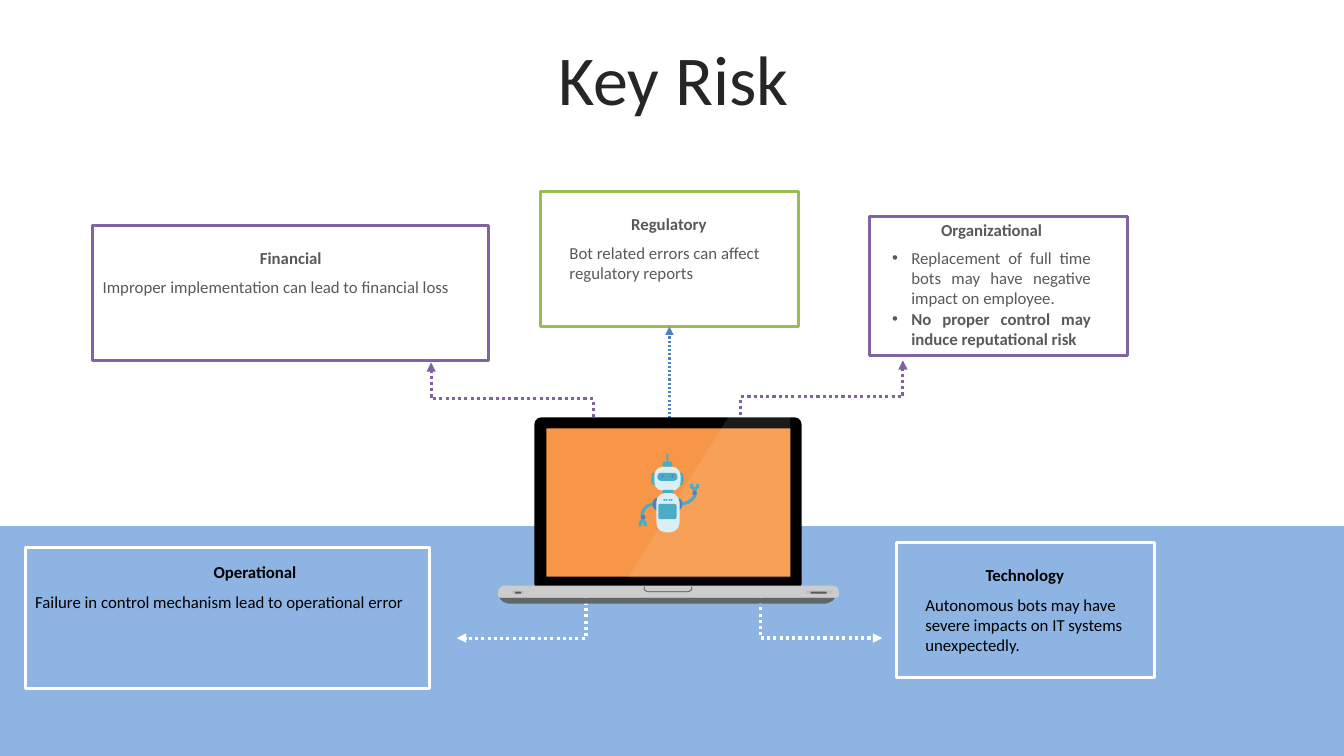
from lxml import etree
from pptx import Presentation, util as u
from pptx.dml.color import RGBColor
from pptx.enum import dml, shapes, text
from pptx.oxml import ns

PX = 9144
SHAPE = shapes.MSO_SHAPE
LEFT, CENTER, JUSTIFY = text.PP_ALIGN.LEFT, text.PP_ALIGN.CENTER, text.PP_ALIGN.JUSTIFY
WHITE = RGBColor(0xFF, 0xFF, 0xFF)
BLACK = RGBColor(0, 0, 0)
INK = RGBColor(0x26, 0x26, 0x26)
GRAY = RGBColor(0x59, 0x59, 0x59)
PURPLE = RGBColor(0x80, 0x64, 0xA2)
GREEN = RGBColor(0x9B, 0xBB, 0x59)
BLUE = RGBColor(0x4F, 0x81, 0xBD)
SKY = RGBColor(0x8E, 0xB4, 0xE3)
ORANGE = RGBColor(0xF7, 0x96, 0x46)
SLATE = RGBColor(0x5F, 0x67, 0x67)
SILVER = RGBColor(0xCC, 0xCC, 0xCC)
SLOT = RGBColor(0xBF, 0xBF, 0xBF)
NOTCH = RGBColor(0x4D, 0x4D, 0x4D)
TEAL = RGBColor(0x4B, 0xAC, 0xC6)
ICE = RGBColor(0xDB, 0xEE, 0xF4)
DOT = RGBColor(0x3B, 0xC0, 0xCB)


def add_child(parent, tag, **attributes):
    """Append a DrawingML element to a parent."""
    child = etree.SubElement(parent, ns.qn(tag))
    for name, value in attributes.items():
        child.set(name, str(value))
    return child


def place(origin, box):
    """Shift a box by the top left corner of its region, in EMU."""
    left, top, width, height = box
    return [PX * n for n in (origin[0] + left, origin[1] + top, width, height)]


def paint(shape, fill=None, line=None, weight=2.25):
    """Set the fill and outline of a shape."""
    shape.shadow.inherit = False
    if fill is None:
        shape.fill.background()
    else:
        shape.fill.solid()
        shape.fill.fore_color.rgb = fill
    if line is None:
        shape.line.fill.background()
    else:
        shape.line.color.rgb = line
        shape.line.width = u.Pt(weight)
    return shape


def add_part(slide, origin, box, fill=None, line=None, kind=SHAPE.RECTANGLE, adjust=()):
    """Draw a preset shape inside a region."""
    shape = slide.shapes.add_shape(kind, *place(origin, box))
    for index, value in enumerate(adjust):
        shape.adjustments[index] = value
    return paint(shape, fill, line)


def add_outline(slide, origin, points, closed=False, **format):
    """Draw a freeform through points inside a region."""
    points = [(origin[0] + x, origin[1] + y) for x, y in points]
    builder = slide.shapes.build_freeform(*points[0], scale=PX)
    builder.add_line_segments(points[1:], close=closed)
    return paint(builder.convert_to_shape(), **format)


def add_text(slide, origin, box, lines, size=12, color=GRAY, align=LEFT,
             anchor=text.MSO_ANCHOR.TOP, bullet=False):
    """Add a text box whose lines are (text, bold) pairs."""
    frame = slide.shapes.add_textbox(*place(origin, box)).text_frame
    frame.word_wrap = True
    frame.vertical_anchor = anchor
    for index, (content, bold) in enumerate(lines):
        paragraph = frame.add_paragraph() if index else frame.paragraphs[0]
        paragraph.alignment = align
        if bullet:
            properties = paragraph._p.get_or_add_pPr()
            properties.set("marL", str(19 * PX))
            properties.set("indent", str(-19 * PX))
            add_child(properties, "a:buFont", typeface="Arial")
            add_child(properties, "a:buChar", char="•")
        run = paragraph.add_run()
        run.text = content
        run.font.name = "Calibri"
        run.font.size = u.Pt(size)
        run.font.bold = bold
        run.font.color.rgb = color


def add_arrow(slide, kind, start, end, color, weight=2.25):
    """Add a dotted connector with an arrowhead at its end."""
    arrow = slide.shapes.add_connector(kind, *[PX * n for n in (*start, *end)])
    arrow.line.color.rgb = color
    arrow.line.width = u.Pt(weight)
    arrow.line.dash_style = dml.MSO_LINE.ROUND_DOT
    add_child(arrow.line._get_or_add_ln(), "a:tailEnd", type="triangle")
    add_child(arrow._element.spPr, "a:effectLst")
    return arrow


def add_elbow(slide, box, color, bend, turn=0, **flips):
    """Add a bent arrow, turned and flipped in its box."""
    left, top, width, height = box
    arrow = add_arrow(slide, shapes.MSO_CONNECTOR.ELBOW, (left, top),
                      (left + width, top + height), color)
    arrow.rotation = turn
    properties = arrow._element.spPr
    frame = properties.find(ns.qn("a:xfrm"))
    frame.set("rot", str(turn * 60000))
    for name, value in flips.items():
        frame.set(name, str(value))
    guides = properties.find(ns.qn("a:prstGeom")).find(ns.qn("a:avLst"))
    add_child(guides, "a:gd", name="adj1", fmla=f"val {bend}")


def add_card(slide, box, line, heading, heading_box, body, body_box, fill=WHITE,
             color=GRAY, heading_align=CENTER, bullet=False):
    """Draw one framed risk with its heading and body."""
    frame = add_part(slide, box, (0, 0, *box[2:]), fill, line)
    add_text(slide, box, heading_box, [(heading, True)], color=color, align=heading_align)
    add_text(slide, box, body_box, body, color=color, bullet=bullet,
             align=JUSTIFY if bullet else LEFT)
    return frame


def add_laptop(slide, box):
    """Draw the laptop with the robot on its screen."""
    rounded = SHAPE.ROUNDED_RECTANGLE
    add_outline(slide, box, [(3, 180), (336, 180), (334, 183), (330, 185), (326, 186),
                             (12, 186), (7, 184)], closed=True, fill=SLATE)
    add_part(slide, box, (38, 1, 265, 172), BLACK, kind=rounded, adjust=[0.04])
    add_part(slide, box, (50, 12, 242, 147), ORANGE)
    add_part(slide, box, (2, 168, 338, 12), SILVER,
             kind=SHAPE.ROUND_2_SAME_RECTANGLE, adjust=[0.5, 0.2])
    add_outline(slide, box, [(147, 169), (147, 172), (150, 174), (191, 174),
                             (194, 172), (194, 169)], line=NOTCH, weight=0.5)
    for left, width, inset in ((16, 12, 3), (307, 26, 5)):
        add_part(slide, box, (left, 173, width, 3), SLOT, kind=rounded, adjust=[0.28])
        add_part(slide, box, (left + inset, 174, width - 2 * inset, 2), GRAY,
                 kind=rounded, adjust=[0.28])
    glare = add_outline(slide, box, [(231, 0), (292, 0), (292, 160), (131, 160)],
                        closed=True, fill=WHITE)
    color = glare._element.spPr.find(ns.qn("a:solidFill")).find(ns.qn("a:srgbClr"))
    add_child(color, "a:alpha", val=10000)
    add_robot(slide, (box[0] + 141, box[1] + 37, 60, 78))


def add_robot(slide, box):
    """Draw the waving robot."""
    arms = [[(15, 50), (9, 52), (6, 55), (4, 59), (4, 64)],
            [(44, 50), (50, 48), (54, 45), (56, 42), (56, 38)]]
    hands = [[(2, 72), (2, 69), (4, 66), (7, 69), (7, 72)],
             [(53, 30), (53, 33), (56, 36), (59, 33), (59, 30)]]
    for limb in arms + hands:
        add_outline(slide, box, limb, line=TEAL)
    for joint in ((3, 61, 4, 4), (54, 37, 4, 4)):
        add_part(slide, box, joint, BLUE, kind=SHAPE.ROUNDED_RECTANGLE)
    for shoulder in (14, 35):
        add_part(slide, box, (shoulder, 44, 9, 12), BLUE, kind=SHAPE.OVAL)
    for part, fill, radius in (
            ((18, 39, 23, 39), ICE, 0.4), ((13, 19, 6, 12), TEAL, 0.5),
            ((39, 19, 6, 12), TEAL, 0.5), ((16, 13, 26, 24), ICE, 0.36),
            ((24, 8, 10, 5), TEAL, 0.4), ((28, 0, 2, 9), TEAL, 0.5),
            ((19, 19, 20, 8), TEAL, 0.45), ((24, 36, 11, 3), TEAL, 0.4),
            ((20, 50, 18, 15), TEAL, 0.12)):
        add_part(slide, box, part, fill, kind=SHAPE.ROUNDED_RECTANGLE, adjust=[radius])
    for index in range(4):
        add_part(slide, box, (25 + 2 * index + index // 2, 45, 2, 2), DOT, kind=SHAPE.OVAL)
    for eye in (23, 33):
        add_part(slide, box, (eye, 21, 2, 3), BLUE, kind=SHAPE.OVAL)


def add_risk_slide(presentation):
    """Build the key risk slide."""
    slide = presentation.slides.add_slide(presentation.slide_layouts[6])
    add_text(slide, (0, 0), (35, 37, 1266, 79), [("Key Risk", False)], size=50,
             color=INK, align=CENTER, anchor=text.MSO_ANCHOR.MIDDLE)
    add_elbow(slide, (766, 326, 98, 161), PURPLE, 63000, turn=90, flipH=1, flipV=1)
    add_elbow(slide, (459, 328, 98, 161), PURPLE, 63000, turn=270, flipV=1)
    add_part(slide, (0, 522), (0, 0, 1333, 228), SKY)
    regulatory = add_card(
        slide, (536, 190, 256, 134), GREEN, "Regulatory", (19, 17, 217, 30),
        [("Bot related errors can affect regulatory reports", False)], (19, 46, 217, 50))
    add_card(slide, (862, 215, 256, 138), PURPLE, "Organizational", (13, -2, 217, 28),
             [("Replacement of full time bots may have negative impact on employee.", False),
              ("No proper control may induce reputational risk", True)],
             (13, 26, 217, 111), bullet=True)
    add_card(slide, (92, 224, 393, 134), PURPLE, "Financial", (156, 17, 217, 30),
             [("Improper implementation can lead to financial loss", False)],
             (0, 46, 374, 30), heading_align=LEFT)
    add_card(slide, (25, 543, 401, 140), WHITE, "Operational", (177, 9, 217, 30),
             [("Failure in control mechanism lead to operational error", False)],
             (0, 39, 395, 30), fill=None, color=BLACK, heading_align=LEFT)
    add_card(slide, (889, 538, 256, 134), WHITE, "Technology", (19, 17, 217, 30),
             [("Autonomous bots may have severe impacts on IT systems unexpectedly.", False)],
             (19, 47, 217, 71), fill=None, color=BLACK)
    upward = add_arrow(slide, shapes.MSO_CONNECTOR.STRAIGHT, (664, 436), (664, 324), BLUE, 1.5)
    upward.end_connect(regulatory, 2)
    add_elbow(slide, (453, 592, 127, 41), WHITE, -1000, turn=180, flipV=1)
    add_elbow(slide, (756, 592, 119, 41), WHITE, -1700)
    add_laptop(slide, (492, 413, 341, 187))


def main():
    """Create and save the presentation."""
    presentation = Presentation()
    presentation.slide_width = 1333 * PX
    presentation.slide_height = 750 * PX
    add_risk_slide(presentation)
    presentation.save("out.pptx")


if __name__ == "__main__":
    main()
